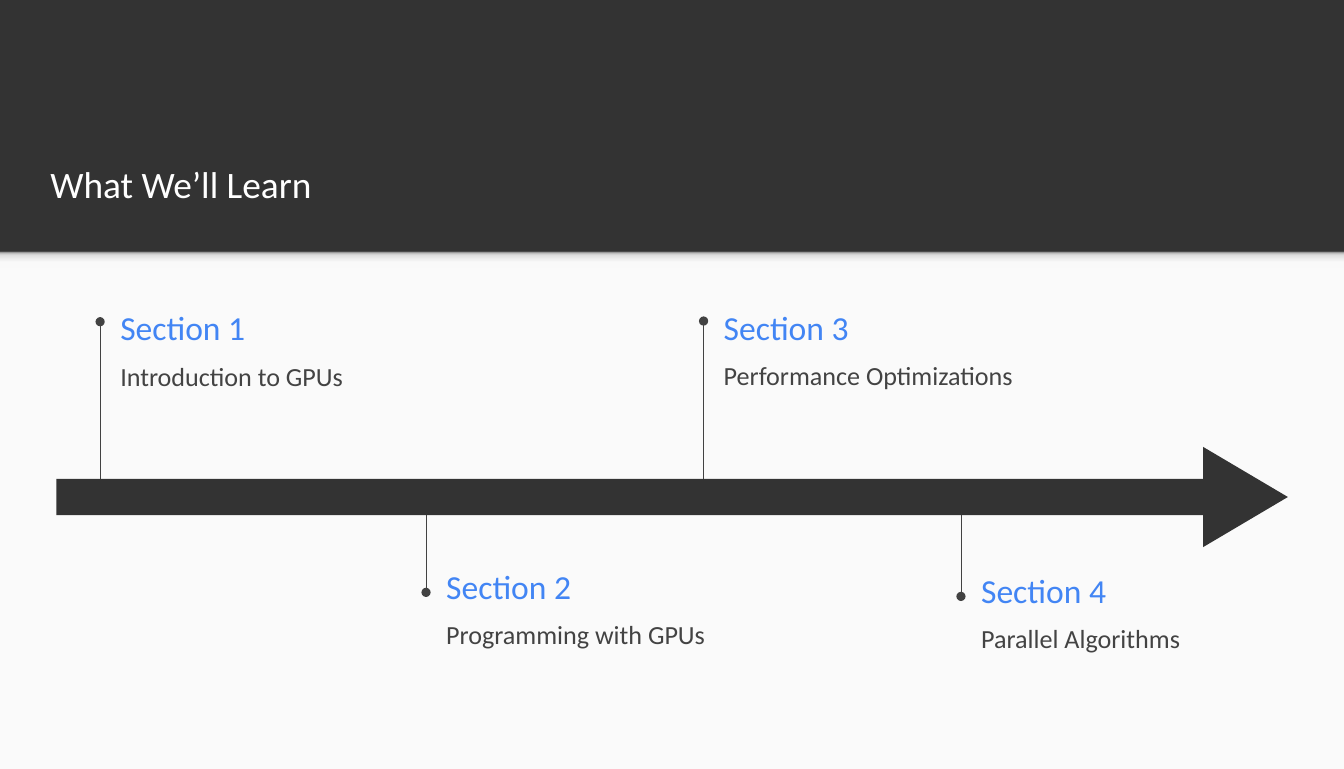
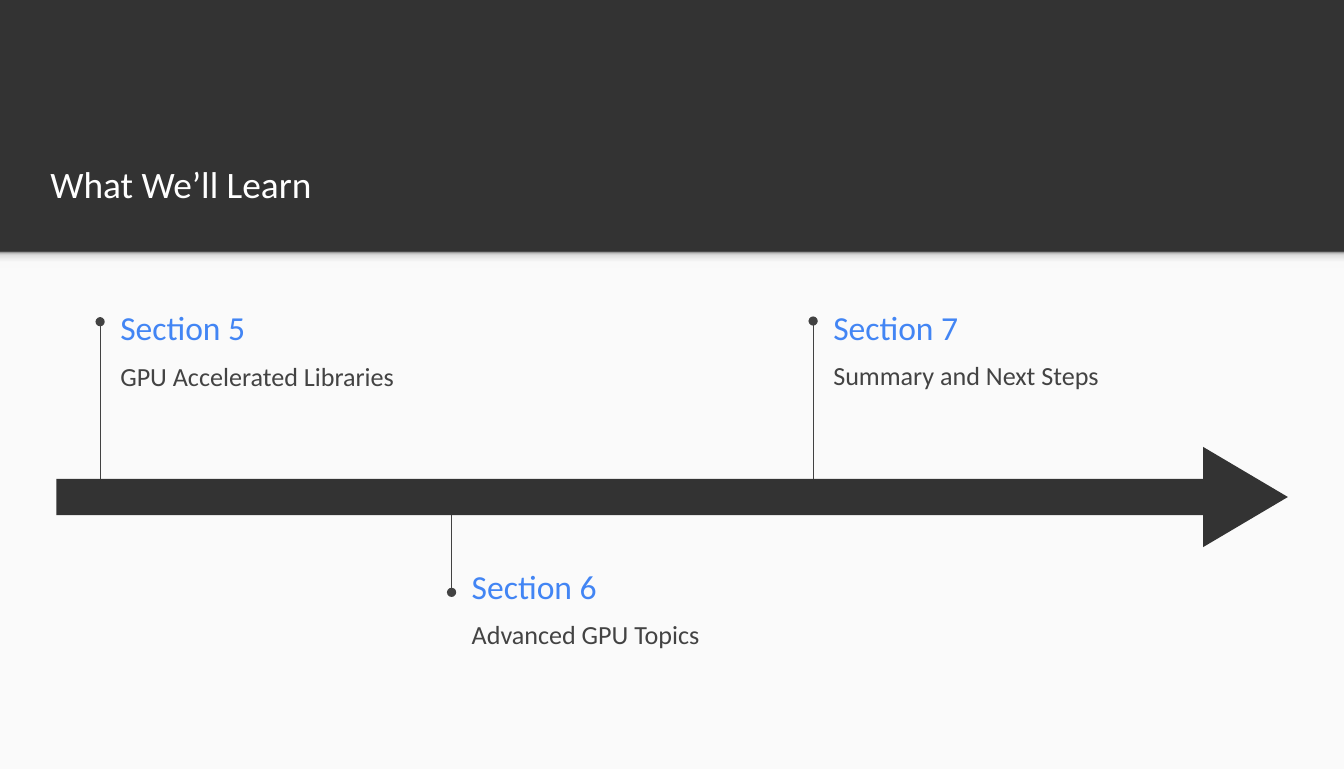
from dataclasses import dataclass

from lxml import etree
from pptx import Presentation
from pptx.dml.color import RGBColor
from pptx.enum import shapes, text
from pptx.oxml import ns
from pptx.util import Inches, Pt


@dataclass(frozen=True)
class Theme:
    font: str = "Calibri"
    dark: str = "333333"
    panel: str = "FAFAFA"
    stem: str = "424242"
    heading: str = "4285F4"
    body: str = "434343"
    white: str = "FFFFFF"
    title_size: int = 40
    heading_size: int = 36
    body_size: int = 28
    shade: tuple = ((0, "F9F9F9"), (36, "F9F9F9"), (80, "DEDEDE"), (100, "999999"))


theme = Theme()
TITLE = "What We’ll Learn"
BAR_MIDDLE = 7.4

# Each section: heading, topic, stem x, dot y, heading width, topic width
TIMELINES = [
    [
        ("Section 1", "Introduction to GPUs", 1.49, 4.79, 3.97, 3.97),
        ("Section 2", "Programming with GPUs", 6.34, 8.82, 5.08, 4.59),
        ("Section 3", "Performance Optimizations", 10.47, 4.78, 3.97, 5.78),
        ("Section 4", "Parallel Algorithms", 14.3, 8.88, 5.08, 5.64),
    ],
    [
        ("Section 5", "GPU Accelerated Libraries", 1.49, 4.79, 3.97, 4.52),
        ("Section 6", "Advanced GPU Topics", 6.72, 8.82, 5.08, 4.57),
        ("Section 7", "Summary and Next Steps", 12.1, 4.78, 3.97, 5.78),
    ],
]


def write(shape, wording, size, color, anchor):
    """Fill a text shape with one left-aligned paragraph and return it."""
    frame = shape.text_frame
    frame.word_wrap = True
    frame.auto_size = text.MSO_AUTO_SIZE.NONE
    frame.vertical_anchor = anchor
    frame.margin_left = frame.margin_right = Inches(0.2)
    frame.margin_top = frame.margin_bottom = Inches(0.2)
    paragraph = frame.paragraphs[0]
    paragraph.text = wording
    paragraph.alignment = text.PP_ALIGN.LEFT
    paragraph.font.name = theme.font
    paragraph.font.size = Pt(size)
    paragraph.font.color.rgb = RGBColor.from_string(color)
    return paragraph


def add_block(parent, kind, left, top, width, height, color):
    """Add a plain filled shape without outline or shadow."""
    shape = parent.add_shape(kind, Inches(left), Inches(top), Inches(width), Inches(height))
    shape.shadow.inherit = False
    shape.fill.solid()
    shape.fill.fore_color.rgb = RGBColor.from_string(color)
    shape.line.fill.background()
    return shape


presentation = Presentation()
presentation.slide_width = Inches(20)
presentation.slide_height = Inches(11.45)

# Dark background shared by all slides
background = presentation.slide_master.background.fill
background.solid()
background.fore_color.rgb = RGBColor.from_string(theme.dark)

for sections in TIMELINES:
    slide = presentation.slides.add_slide(presentation.slide_layouts[5])

    # Title
    title = slide.shapes.title
    title.left, title.top = Inches(0.55), Inches(1.55)
    title.width, title.height = Inches(17.98), Inches(1.71)
    write(title, TITLE, theme.title_size, theme.white, text.MSO_ANCHOR.BOTTOM)

    # Light panel and the soft shade along its top edge
    rectangle = shapes.MSO_SHAPE.RECTANGLE
    add_block(slide.shapes, rectangle, 0, 3.75, 20, 7.7, theme.panel)
    shade = add_block(slide.shapes, rectangle, 0, 3.75, 20, 0.24, theme.panel)
    shade.fill.gradient()
    shade.fill.gradient_angle = 90
    stops = shade._element.spPr.find(".//" + ns.qn("a:gsLst"))
    for stop in list(stops):
        stops.remove(stop)
    for percent, color in theme.shade:
        stop = etree.SubElement(stops, ns.qn("a:gs"), pos=str(percent * 1000))
        etree.SubElement(stop, ns.qn("a:srgbClr"), val=color)

    # Sections: stem with a dot, heading and topic
    for heading, topic, x, dot_y, heading_width, topic_width in sections:
        stem = slide.shapes.add_connector(
            shapes.MSO_CONNECTOR.STRAIGHT,
            Inches(x), Inches(BAR_MIDDLE), Inches(x), Inches(dot_y))
        stem.line.color.rgb = RGBColor.from_string(theme.stem)
        stem.line.width = Pt(0.75)
        etree.SubElement(stem.line._get_or_add_ln(), ns.qn("a:tailEnd"),
                         type="oval", w="lg", len="lg")
        etree.SubElement(stem._element.spPr, ns.qn("a:effectLst"))

        label_left = x + 0.1
        label_top = dot_y - (0.35 if dot_y < BAR_MIDDLE else 0.53)
        heading_box = slide.shapes.add_textbox(
            Inches(label_left), Inches(label_top), Inches(heading_width), Inches(0.87))
        write(heading_box, heading, theme.heading_size, theme.heading, text.MSO_ANCHOR.MIDDLE)
        topic_box = slide.shapes.add_textbox(
            Inches(label_left), Inches(label_top + 0.65), Inches(topic_width), Inches(1.29))
        paragraph = write(topic_box, topic, theme.body_size, theme.body, text.MSO_ANCHOR.TOP)
        paragraph.line_spacing = 1.15
        paragraph.space_after = Pt(16)

    # Timeline arrow, covering the inner ends of the stems
    arrow = slide.shapes.add_group_shape()
    head = add_block(arrow.shapes, shapes.MSO_SHAPE.ISOSCELES_TRIANGLE,
                     17.79, 6.77, 1.49, 1.26, theme.dark)
    head.rotation = 90
    add_block(arrow.shapes, rectangle, 0.84, 7.13, 17.29, 0.54, theme.dark)

presentation.save("out.pptx")
